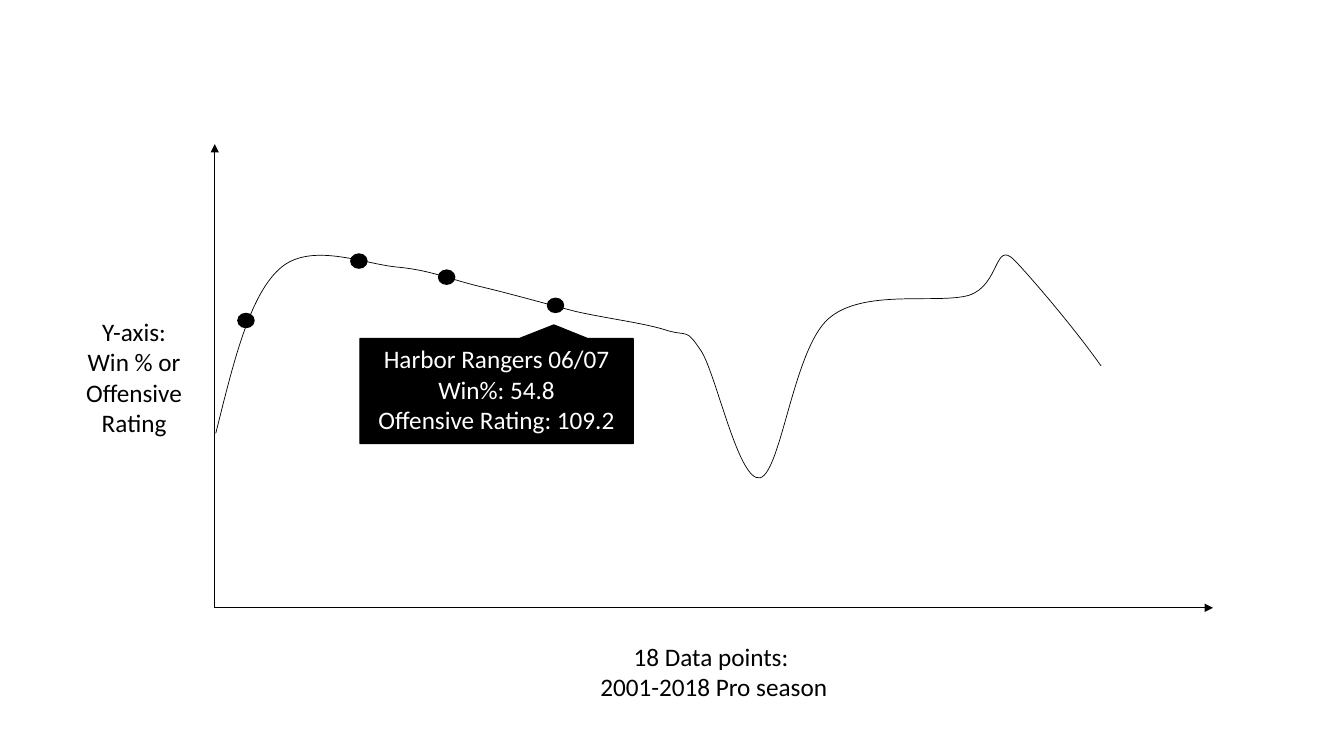
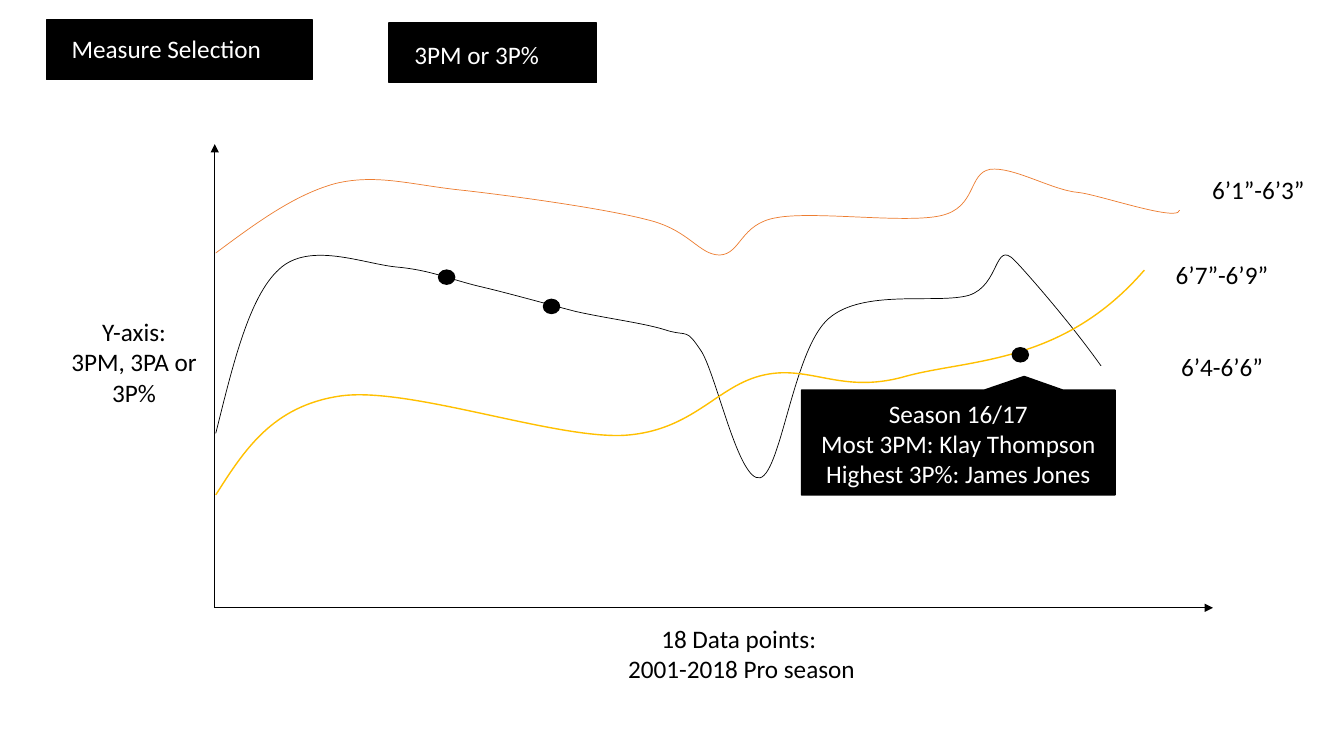
from lxml import etree
from pptx import Presentation
from pptx.dml.color import RGBColor
from pptx.enum.shapes import MSO_CONNECTOR, MSO_SHAPE
from pptx.enum.text import MSO_ANCHOR, PP_ALIGN
from pptx.oxml.ns import qn
from pptx.util import Inches, Pt

BLACK = RGBColor(0, 0, 0)
WHITE = RGBColor(0xFF, 0xFF, 0xFF)
ORANGE = RGBColor(0xED, 0x7D, 0x31)
GOLD = RGBColor(0xFF, 0xC0, 0x00)
FONT, TEXT_SIZE = "Calibri", 18

# Shared geometry in inches; boxes are (left, top, width, height)
ORIGIN = (2.13, 6.03)
AXIS_ENDS = [(2.13, 1.43), (12.03, 6.03)]
DOT_SIZE = (0.16, 0.14)

# Curves: start point, then two control points and an end point per segment.
# Each cover is a white box that trims the end of its curve.
MIDDLE_CURVE = dict(
    color=BLACK, weight=0.5, box=(2.14, 2.53, 9.06, 2.21), start=(2.14, 4.3),
    segments=[
        ((2.31, 3.62), (2.47, 2.94), (2.77, 2.67)),
        ((3.07, 2.39), (3.61, 2.62), (3.94, 2.65)),
        ((4.27, 2.68), (4.46, 2.77), (4.75, 2.84)),
        ((5.05, 2.91), (5.4, 3.01), (5.71, 3.09)),
        ((6.02, 3.16), (6.42, 3.21), (6.62, 3.28)),
        ((6.83, 3.34), (6.8, 3.25), (6.96, 3.49)),
        ((7.11, 3.74), (7.33, 4.79), (7.54, 4.74)),
        ((7.75, 4.68), (7.87, 3.46), (8.22, 3.16)),
        ((8.56, 2.86), (9.3, 3.02), (9.61, 2.93)),
        ((9.92, 2.83), (9.86, 2.38), (10.06, 2.58)),
        ((10.26, 2.78), (11.93, 4.71), (10.83, 4.13)),
    ],
    cover=dict(box=(10.57, 3.64, 0.94, 1.25), line=WHITE))
SHORT_CURVE = dict(
    color=ORANGE, weight=0.5, box=(2.14, 1.68, 9.56, 0.85), start=(2.14, 2.51),
    segments=[
        ((2.53, 2.22), (2.92, 1.93), (3.33, 1.82)),
        ((3.75, 1.72), (4.1, 1.84), (4.61, 1.89)),
        ((5.13, 1.95), (6, 2.07), (6.42, 2.18)),
        ((6.84, 2.28), (6.93, 2.53), (7.14, 2.53)),
        ((7.35, 2.52), (7.34, 2.22), (7.7, 2.16)),
        ((8.07, 2.09), (8.98, 2.22), (9.33, 2.14)),
        ((9.69, 2.06), (9.6, 1.72), (9.82, 1.68)),
        ((10.05, 1.65), (10.44, 1.89), (10.7, 1.91)),
        ((10.97, 1.94), (12.26, 2.41), (11.42, 1.82)),
    ],
    cover=dict(box=(11.41, 1.52, 0.52, 0.55), rotation=11.8))
TALL_CURVE = dict(
    color=GOLD, weight=1, box=(2.14, 2.68, 9.21, 2.23), start=(2.14, 4.91),
    segments=[
        ((2.42, 4.47), (2.7, 4.03), (3.37, 3.93)),
        ((4.04, 3.83), (5.47, 4.35), (6.18, 4.32)),
        ((6.88, 4.28), (7.11, 3.82), (7.58, 3.72)),
        ((8.04, 3.62), (8.34, 3.91), (8.96, 3.74)),
        ((9.59, 3.56), (10.53, 3.63), (11.35, 2.68)),
    ])

SEASONS = ["18 Data points: ", "2001-2018 Pro season"]

# Buttons and callouts: box, lines, top inset
SLIDES = [
    dict(
        curves=[MIDDLE_CURVE],
        dots=[(2.36, 3.11), (3.48, 2.52), (4.35, 2.68), (5.43, 2.96)],
        buttons=[],
        callout=((3.57, 3.36, 2.71, 1.04),
                 ["Harbor Rangers 06/07", "Win%: 54.8", "Offensive Rating: 109.2"],
                 0.05),
        labels=[
            ((5.59, 6.31, 2.98, 1.01), SEASONS),
            ((0.56, 3.09, 1.54, 1.31), ["Y-axis:", "Win % or Offensive Rating"]),
        ],
    ),
    dict(
        curves=[MIDDLE_CURVE, SHORT_CURVE, TALL_CURVE],
        dots=[(4.35, 2.68), (5.39, 2.97), (10.04, 3.45)],
        buttons=[((3.86, 0.23, 2.06, 0.59), ["3PM or 3P%"], 0.16),
                 ((0.46, 0.2, 2.64, 0.59), ["Measure Selection"], 0.13)],
        callout=((7.95, 3.87, 3.11, 1.04),
                 ["Season 16/17", "Most 3PM: Klay Thompson", "Highest 3P%: James Jones"],
                 0.08),
        labels=[
            ((4.02, 6.13, 6.67, 0.71), SEASONS),
            ((0.56, 3.09, 1.54, 1.01), ["Y-axis:", "3PM, 3PA or 3P%"]),
            ((11.71, 1.68, 1.54, 0.4), ["6’1”-6’3”"]),
            ((11.35, 3.44, 1.54, 0.4), ["6’4-6’6”"]),
            ((11.35, 2.52, 1.54, 0.4), ["6’7”-6’9”"]),
        ],
    ),
]


def write_text(shape, lines, color=BLACK, align=PP_ALIGN.CENTER,
               wrap=True, left=0.1, top=0.05):
    frame = shape.text_frame
    frame.word_wrap = wrap
    frame.vertical_anchor = MSO_ANCHOR.TOP
    frame.margin_left, frame.margin_top = Inches(left), Inches(top)
    frame.text = "\n".join(lines)
    for paragraph in frame.paragraphs:
        paragraph.alignment = align
        font = paragraph.font
        font.name, font.size = FONT, Pt(TEXT_SIZE)
        font.color.rgb = color


def add_filled(slide, kind, box, fill=BLACK, line=BLACK, rotation=0):
    shape = slide.shapes.add_shape(kind, *map(Inches, box))
    shape.shadow.inherit = False
    shape.rotation = rotation
    shape.fill.solid()
    shape.fill.fore_color.rgb = fill
    if line is None:
        shape.line.fill.background()
    else:
        shape.line.color.rgb = line
        shape.line.width = Pt(1)
    return shape


def add_axis(slide, end):
    axis = slide.shapes.add_connector(
        MSO_CONNECTOR.STRAIGHT, *map(Inches, ORIGIN + end))
    axis.line.color.rgb = BLACK
    axis.line.width = Pt(0.5)
    etree.SubElement(axis.line._get_or_add_ln(), qn("a:tailEnd"), type="triangle")
    etree.SubElement(axis._element.spPr, qn("a:effectLst"))


def add_curve(slide, color, weight, box, start, segments, cover=None):
    # A diagonal sets the frame; Bézier commands then replace it
    left, top, width, height = map(Inches, box)
    builder = slide.shapes.build_freeform(left, top)
    builder.add_line_segments([(left + width, top + height)], close=False)
    curve = builder.convert_to_shape()
    outline = curve._element.find(".//" + qn("a:path"))
    for command in list(outline):
        outline.remove(command)
    commands = [("a:moveTo", [start])]
    commands += [("a:cubicBezTo", segment) for segment in segments]
    for tag, points in commands:
        command = etree.SubElement(outline, qn(tag))
        for x, y in points:
            etree.SubElement(command, qn("a:pt"),
                             x=str(Inches(x) - left), y=str(Inches(y) - top))
    curve.shadow.inherit = False
    curve.fill.background()
    curve.line.color.rgb = color
    curve.line.width = Pt(weight)
    if cover:
        add_filled(slide, MSO_SHAPE.RECTANGLE, fill=WHITE, **{"line": None, **cover})


def add_callout(slide, box, lines, top):
    callout = add_filled(slide, MSO_SHAPE.RECTANGULAR_CALLOUT, box)
    # Pointer tip as a share of the box, measured from its centre
    callout.adjustments[0], callout.adjustments[1] = 0.21, -0.63
    write_text(callout, lines, color=WHITE, wrap=False, top=top)


def build_slide(presentation, content):
    slide = presentation.slides.add_slide(presentation.slide_layouts[6])
    for end in AXIS_ENDS:
        add_axis(slide, end)
    for curve in content["curves"]:
        add_curve(slide, **curve)
    for position in content["dots"]:
        add_filled(slide, MSO_SHAPE.OVAL, position + DOT_SIZE)
    for box, lines, top in content["buttons"]:
        button = add_filled(slide, MSO_SHAPE.RECTANGLE, box)
        write_text(button, lines, color=WHITE, align=PP_ALIGN.LEFT, left=0.25, top=top)
    add_callout(slide, *content["callout"])
    for box, lines in content["labels"]:
        write_text(slide.shapes.add_textbox(*map(Inches, box)), lines)


def main():
    presentation = Presentation()
    presentation.slide_width, presentation.slide_height = Inches(13.33), Inches(7.5)
    for content in SLIDES:
        build_slide(presentation, content)
    presentation.save("out.pptx")


if __name__ == "__main__":
    main()
